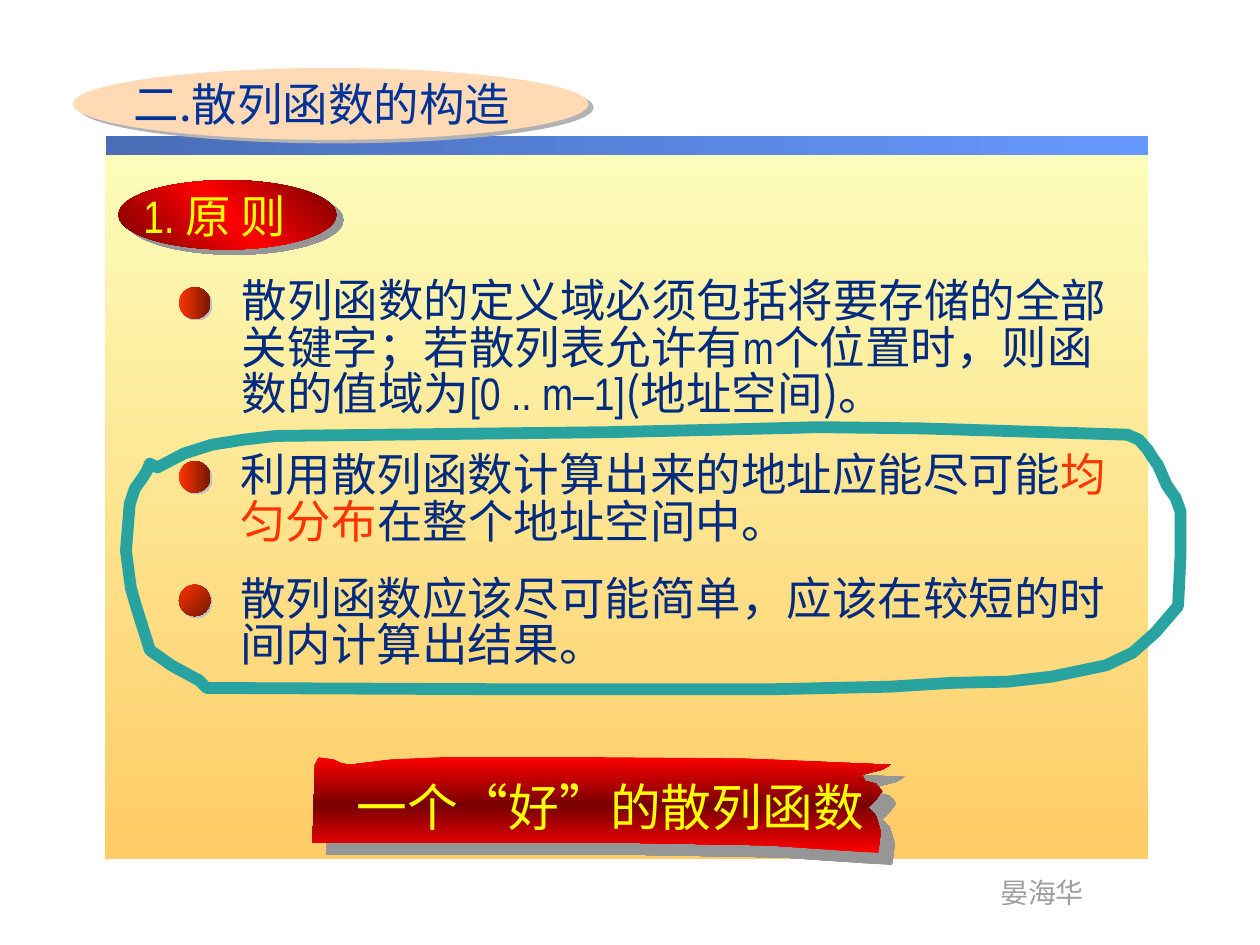
from pptx import Presentation
from pptx.dml.color import RGBColor
from pptx.enum.shapes import MSO_SHAPE as Shape
from pptx.enum.text import MSO_ANCHOR as Anchor, MSO_AUTO_SIZE as AutoSize, PP_ALIGN as Align
from pptx.oxml import parse_xml
from pptx.oxml.ns import qn
from pptx.util import Inches, Pt

NARROW, CJK = "Arial Narrow", "Noto Sans CJK SC"
NAVY, BLUE = RGBColor(0x00, 0x2B, 0x80), RGBColor(0x00, 0x33, 0x99)
RED, DARK_RED = RGBColor(0xFF, 0x00, 0x00), RGBColor(0x76, 0x00, 0x00)
ORANGE, BROWN = RGBColor(0xFF, 0x33, 0x00), RGBColor(0x76, 0x18, 0x00)
CREAM, GOLD = RGBColor(0xFC, 0xFE, 0xBC), RGBColor(0xFF, 0xCC, 0x66)
STEEL, SKY = RGBColor(0x49, 0x6D, 0xB6), RGBColor(0x66, 0x99, 0xFF)
PEACH, YELLOW = RGBColor(0xFF, 0xDA, 0xB5), RGBColor(0xFF, 0xFF, 0x00)
TEAL, GRAY = RGBColor(0x28, 0xA3, 0xA0), RGBColor(0x9F, 0x9F, 0x9F)
SHADE, MID_SHADE = RGBColor(0x96, 0x96, 0x96), RGBColor(0xB2, 0xB2, 0xB2)
LIGHT_SHADE = RGBColor(0xC0, 0xC0, 0xC0)
BLACK, WHITE = RGBColor(0, 0, 0), RGBColor(0xFF, 0xFF, 0xFF)
NAMESPACE = 'xmlns:a="http://schemas.openxmlformats.org/drawingml/2006/main"'

# Content: each principle has a text position, gradient angle and lines of (text, font, colour)
TITLE = "二.散列函数的构造"
HEADING = "1. 原 则"
CONCLUSION = "一个“好”的散列函数"
AUTHOR = "晏海华"
PRINCIPLES = [
    (1.82, 2.18, 1.21, 0, [
        [("散列函数的定义域必须包括将要存储的全部", CJK, NAVY)],
        [("关键字；若散列表允许有", CJK, NAVY), ("m", NARROW, NAVY),
         ("个位置时，则函", CJK, NAVY)],
        [("数的值域为", CJK, NAVY), ("[0 .. m–1]", NARROW, NAVY),
         ("(地址空间)。", CJK, NAVY)],
    ]),
    (1.81, 3.56, 0.84, 0, [
        [("利用散列函数计算出来的地址应能尽可能", NARROW, NAVY), ("均", NARROW, ORANGE)],
        [("匀分布", NARROW, ORANGE), ("在整个地址空间中。", NARROW, NAVY)],
    ]),
    (1.81, 4.54, 0.84, 45, [
        [("散列函数应该尽可能简单，应该在较短的时", NARROW, NAVY)],
        [("间内计算出结果。", NARROW, NAVY)],
    ]),
]

# Outlines in hundredths of an inch
LOOP = [(125, 371), (146, 360), (168, 353), (193, 349), (219, 346), (483, 343), (572, 341),
        (650, 339), (732, 340), (895, 345), (904, 349), (911, 357), (914, 362), (919, 369),
        (926, 385), (933, 395), (937, 406), (937, 440), (935, 481), (917, 502), (899, 518),
        (878, 528), (835, 537), (800, 541), (754, 542), (706, 545), (613, 547), (400, 547),
        (164, 546), (158, 540), (136, 528), (119, 516), (108, 481), (104, 467), (103, 460),
        (100, 437), (103, 400), (107, 388), (114, 378), (117, 373), (119, 368)]
BANNER = [(278, 607), (310, 603), (350, 601), (475, 601), (590, 602), (707, 607), (700, 611),
          (684, 615), (687, 620), (695, 622), (700, 628), (695, 635), (689, 641), (695, 647),
          (699, 660), (697, 677), (610, 671), (500, 669), (248, 669), (250, 607), (253, 601),
          (265, 603), (271, 606)]


def paint(shape, colors, angle=0, shadow=None):
    """Fill with one colour or an even gradient; shadow is (colour, points, degrees)."""
    shape.line.fill.background()
    if len(colors) == 1:
        shape.fill.solid()
        shape.fill.fore_color.rgb = colors[0]
    else:
        shape.fill.gradient()
        stops = "".join(
            f'<a:gs pos="{100000 * i // (len(colors) - 1)}"><a:srgbClr val="{color}"/></a:gs>'
            for i, color in enumerate(colors))
        old = shape.element.spPr.find(qn("a:gradFill"))
        old.getparent().replace(old, parse_xml(
            f'<a:gradFill {NAMESPACE} rotWithShape="1"><a:gsLst>{stops}</a:gsLst>'
            f'<a:lin ang="{angle * 60000}" scaled="0"/></a:gradFill>'))
    shape.shadow.inherit = False
    if shadow:
        color, distance, direction = shadow
        shape.element.spPr.find(qn("a:effectLst")).append(parse_xml(
            f'<a:outerShdw {NAMESPACE} dist="{Pt(distance)}" dir="{direction * 60000}" '
            f'algn="ctr" rotWithShape="0"><a:srgbClr val="{color}"/></a:outerShdw>'))


def add_preset(kind, place, *style):
    shape = slide.shapes.add_shape(kind, *map(Inches, place))
    paint(shape, *style)


def add_outline(points):
    builder = slide.shapes.build_freeform(*points[0], scale=Inches(0.01))
    builder.add_line_segments(points[1:], close=True)
    return builder.convert_to_shape()


def write(box, lines, size, spacing=None, wrap=True, shadow=None):
    frame = box.text_frame
    settings = {"word_wrap": wrap, "auto_size": AutoSize.NONE, "vertical_anchor": Anchor.TOP}
    for name, value in settings.items():
        setattr(frame, name, value)
    for i, line in enumerate(lines):
        para = frame.add_paragraph() if i else frame.paragraphs[0]
        para.alignment = Align.LEFT
        para.line_spacing = spacing
        for text, font, color in line:
            span = para.add_run()
            span.text = text
            for name, value in {"size": Pt(size), "name": font, "bold": False}.items():
                setattr(span.font, name, value)
            span.font.color.rgb = color
            props = span.font._element
            props.find(qn("a:latin")).addnext(
                parse_xml(f'<a:ea {NAMESPACE} typeface="{CJK}"/>'))
            if shadow:
                props.find(qn("a:solidFill")).addnext(parse_xml(
                    f'<a:effectLst {NAMESPACE}><a:outerShdw dist="{Pt(2)}" dir="2700000">'
                    f'<a:srgbClr val="{shadow}"/></a:outerShdw></a:effectLst>'))


def add_text(place, lines, size, **style):
    write(slide.shapes.add_textbox(*map(Inches, place)), lines, size, **style)


deck = Presentation()
deck.slide_width, deck.slide_height = Inches(10), Inches(7.5)
slide = deck.slides.add_slide(deck.slide_layouts[5])

# Background panel, top bar and author
add_preset(Shape.RECTANGLE, (0.83, 1.1, 8.28, 5.72), [CREAM, GOLD], 90)
add_preset(Shape.RECTANGLE, (0.84, 1.08, 8.27, 0.15), [STEEL, SKY])
add_text((7.84, 6.9, 0.87, 0.37), [[(AUTHOR, NARROW, GRAY)]], 16, wrap=False)

# Title, brought in front of its oval
add_preset(Shape.OVAL, (0.58, 0.54, 4.09, 0.57), [PEACH], 0, (MID_SHADE, 3.6, 34))
title = slide.shapes.title
title.left, title.top, title.width, title.height = map(Inches, (0.96, 0.55, 3.63, 0.53))
write(title, [[(TITLE, CJK, BLUE)]], 26)
title.element.getparent().append(title.element)

# Section heading
add_preset(Shape.OVAL, (0.94, 1.43, 1.73, 0.55), [DARK_RED, RED, DARK_RED], 315,
           (SHADE, 5, 37))
add_text((1.04, 1.44, 1.99, 0.53), [[(HEADING, NARROW, YELLOW)]], 26, shadow=WHITE)

# Principles with ball markers
for left, top, height, angle, lines in PRINCIPLES:
    add_text((left, top, 7.6, height), lines, 26, spacing=0.85)
    add_preset(Shape.OVAL, (1.42, top + 0.1, 0.25, 0.25), [ORANGE, BROWN], angle,
               (LIGHT_SHADE, 1.4, 45))

# Hand-drawn loop
loop = add_outline(LOOP)
loop.fill.background()
loop.line.color.rgb = TEAL
loop.line.width = Pt(6.75)
loop.shadow.inherit = False

# Conclusion banner
paint(add_outline(BANNER), [RED, DARK_RED, RED], 90, (SHADE, 10.6, 41))
add_text((2.73, 6.11, 4.48, 0.58), [[(CONCLUSION, NARROW, YELLOW)]], 29, shadow=BLACK)

deck.save("out.pptx")
